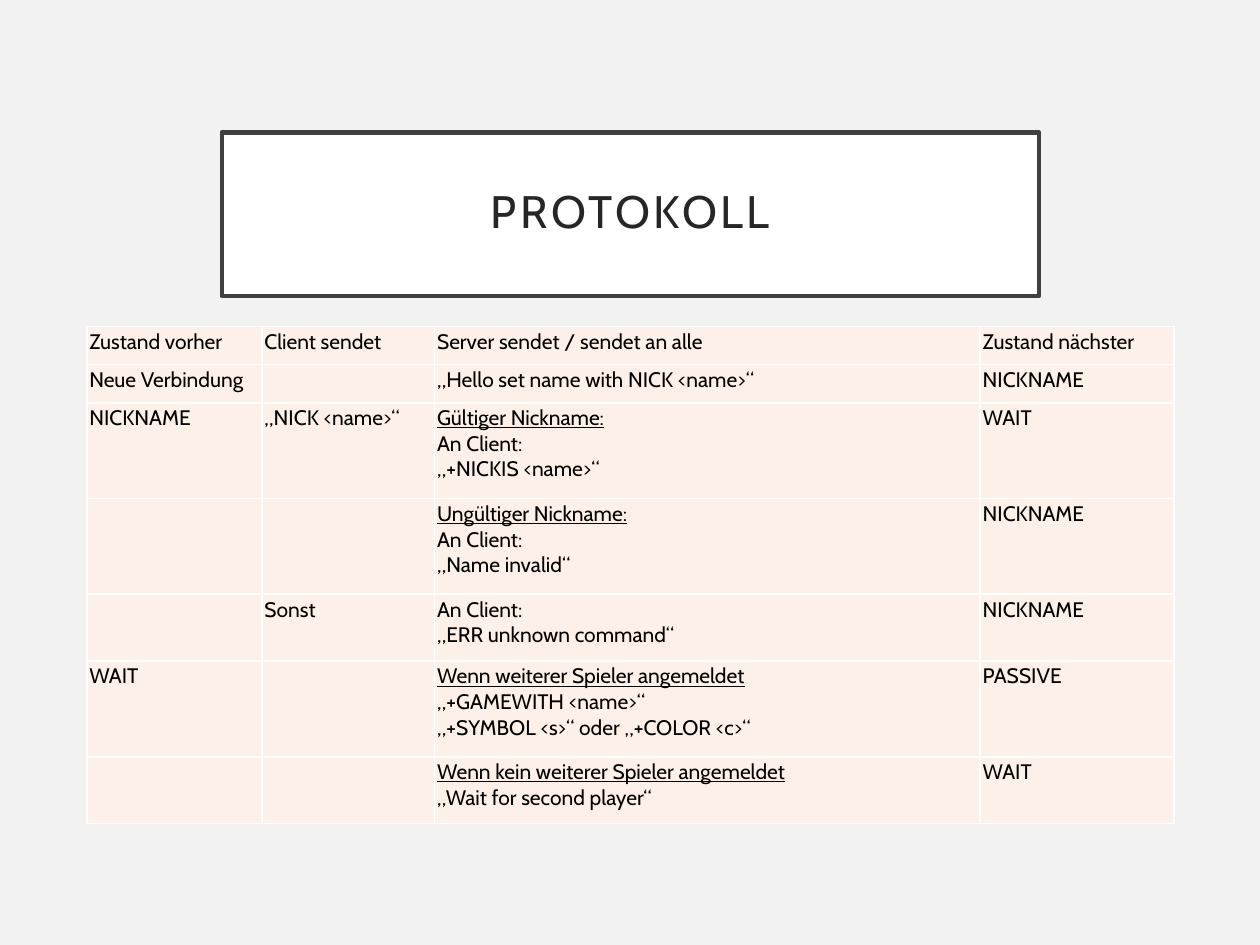
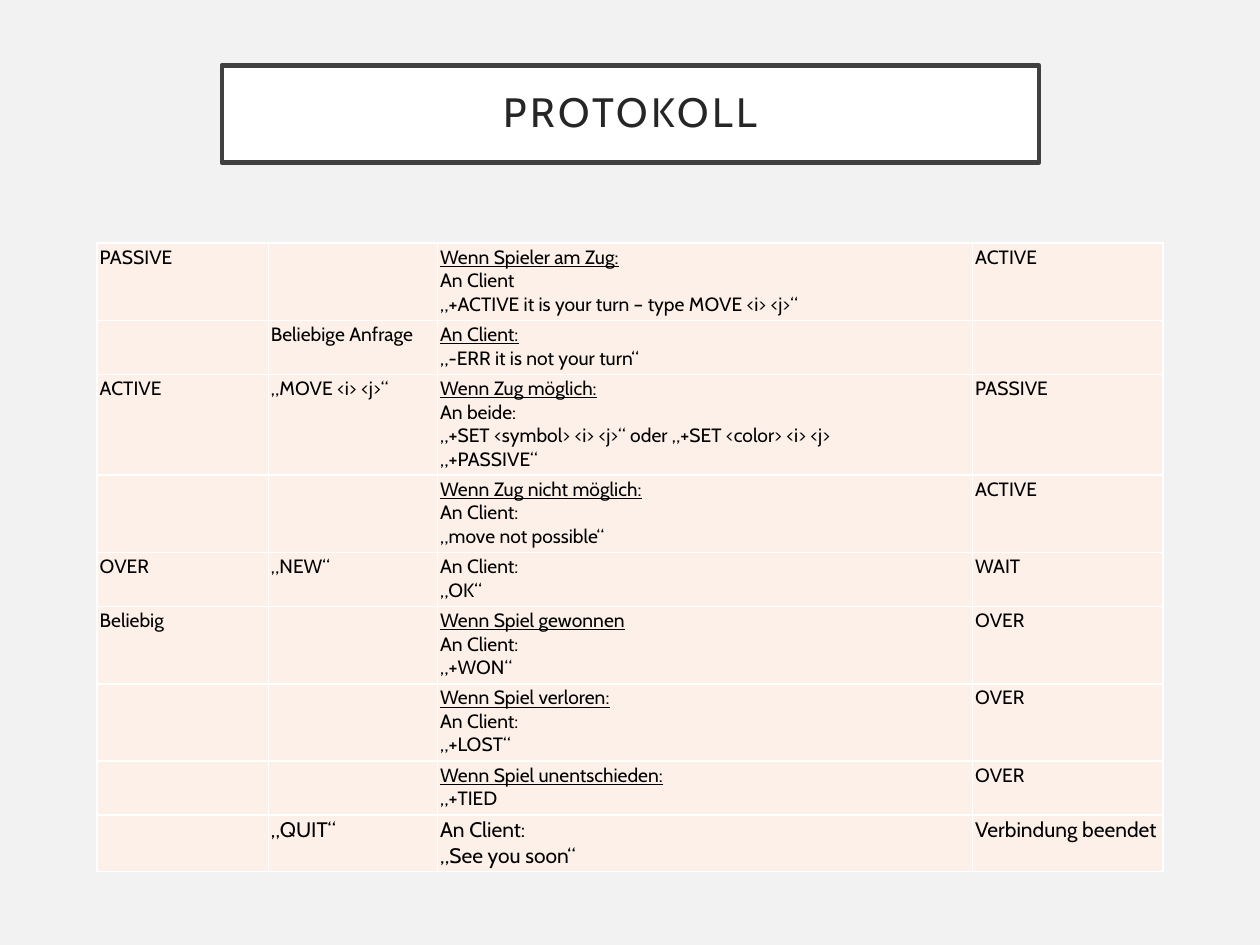
import pptx
import pptx.dml.color
import pptx.enum.shapes
import pptx.enum.text
import pptx.oxml.ns
import pptx.util
from lxml import etree

Cm, Pt, qn = pptx.util.Cm, pptx.util.Pt, pptx.oxml.ns.qn

FONT = "Cabin"
BACKGROUND, WHITE, FRAME = "F2F2F2", "FFFFFF", "404040"
TITLE_INK, CELL_INK, CELL_FILL = "262626", "000000", "FDF0E8"
TITLE_LEFT, TITLE_WIDTH, TITLE_INSET = Cm(4.47), Cm(16.48), Cm(0.51)
CELL_INSET = Cm(0.05)


def paint(fill, color):
    fill.solid()
    fill.fore_color.rgb = pptx.dml.color.RGBColor.from_string(color)


def write(frame, text, size, color, align=None, line_spacing=None, tracking=None):
    """Write one paragraph per line; a leading underscore underlines the line."""
    for number, line in enumerate(text.split("\n")):
        paragraph = frame.add_paragraph() if number else frame.paragraphs[0]
        paragraph.alignment = align
        paragraph.line_spacing = line_spacing
        if not line:
            # an empty cell must not grow its row with the default size
            etree.SubElement(paragraph._p, qn("a:endParaRPr"), sz=str(size * 100))
            continue
        run = paragraph.add_run()
        run.text = line.removeprefix("_")
        run.font.name = FONT
        run.font.size = Pt(size)
        paint(run.font.fill, color)
        if line.startswith("_"):
            run.font.underline = True
        if tracking:
            run.font._rPr.set("spc", str(tracking * 100))


# Columns: state before, client sends, server sends, next state
login_steps = [
    ("Zustand vorher", "Client sendet", "Server sendet / sendet an alle", "Zustand nächster"),
    ("Neue Verbindung", "", "„Hello set name with NICK <name>“", "NICKNAME"),
    ("NICKNAME", "„NICK <name>“", "_Gültiger Nickname:\nAn Client:\n„+NICKIS <name>“", "WAIT"),
    ("", "", "_Ungültiger Nickname:\nAn Client:\n„Name invalid“", "NICKNAME"),
    ("", "Sonst", "An Client:\n„ERR unknown command“", "NICKNAME"),
    ("WAIT", "",
     "_Wenn weiterer Spieler angemeldet\n„+GAMEWITH <name>“\n„+SYMBOL <s>“ oder „+COLOR <c>“",
     "PASSIVE"),
    ("", "", "_Wenn kein weiterer Spieler angemeldet\n„Wait for second player“", "WAIT"),
]
game_steps = [
    ("PASSIVE", "",
     "_Wenn Spieler am Zug:\nAn Client\n„+ACTIVE it is your turn – type MOVE <i> <j>“", "ACTIVE"),
    ("", "Beliebige Anfrage", "_An Client:\n„-ERR it is not your turn“", ""),
    ("ACTIVE", "„MOVE <i> <j>“",
     "_Wenn Zug möglich:\nAn beide:\n„+SET <symbol> <i> <j>“ oder „+SET <color> <i> <j>\n„+PASSIVE“",
     "PASSIVE"),
    ("", "", "_Wenn Zug nicht möglich:\nAn Client:\n„move not possible“", "ACTIVE"),
    ("OVER", "„NEW“", "An Client:\n„OK“", "WAIT"),
    ("Beliebig", "", "_Wenn Spiel gewonnen\nAn Client:\n„+WON“", "OVER"),
    ("", "", "_Wenn Spiel verloren:\nAn Client:\n„+LOST“", "OVER"),
    ("", "", "_Wenn Spiel unentschieden:\n„+TIED", "OVER"),
    ("", "„QUIT“", "An Client:\n„See you soon“", "Verbindung beendet"),
]

# Row height is row_base plus line_height for each line the server sends.
protocol_parts = [
    dict(steps=login_steps, title_top=2.67, title_height=3.3, title_size=26,
         left=1.75, top=6.58, widths=(3.53, 3.48, 11, 3.91),
         row_base=0.19, line_height=0.58, size=12, last_size=12),
    dict(steps=game_steps, title_top=1.32, title_height=1.96, title_size=23.4,
         left=1.96, top=4.9, widths=(3.45, 3.41, 10.79, 3.84),
         row_base=0.15, line_height=0.47, size=11, last_size=12),
]

presentation = pptx.Presentation()
presentation.slide_width, presentation.slide_height = Cm(25.4), Cm(19.05)
paint(presentation.slide_master.background.fill, BACKGROUND)

for part in protocol_parts:
    slide = presentation.slides.add_slide(presentation.slide_layouts[6])

    title = slide.shapes.add_shape(
        pptx.enum.shapes.MSO_SHAPE.RECTANGLE, TITLE_LEFT, Cm(part["title_top"]),
        TITLE_WIDTH, Cm(part["title_height"]))
    title.shadow.inherit = False
    paint(title.fill, WHITE)
    paint(title.line.fill, FRAME)
    title.line.width = Pt(2.5)
    heading = title.text_frame
    heading.word_wrap = True
    heading.vertical_anchor = pptx.enum.text.MSO_ANCHOR.MIDDLE
    heading.margin_left = heading.margin_right = TITLE_INSET
    heading.margin_top = heading.margin_bottom = TITLE_INSET
    write(heading, "PROTOKOLL", size=part["title_size"], color=TITLE_INK,
          align=pptx.enum.text.PP_ALIGN.CENTER, line_spacing=0.9, tracking=2)

    steps, widths = part["steps"], part["widths"]
    heights = [part["row_base"] + part["line_height"] * len(step[2].split("\n"))
               for step in steps]
    transitions = slide.shapes.add_table(
        len(steps), len(widths), Cm(part["left"]), Cm(part["top"]),
        Cm(sum(widths)), Cm(sum(heights))).table
    transitions.first_row = transitions.horz_banding = False
    for column, width in zip(transitions.columns, widths):
        column.width = Cm(width)

    for row, step, height in zip(transitions.rows, steps, heights):
        row.height = Cm(height)
        size = part["last_size"] if step is steps[-1] else part["size"]
        for cell, text in zip(row.cells, step):
            cell.margin_left = cell.margin_right = CELL_INSET
            cell.margin_top = cell.margin_bottom = CELL_INSET
            for side in ("a:lnL", "a:lnR", "a:lnT", "a:lnB"):
                border = etree.SubElement(cell._tc.get_or_add_tcPr(), qn(side), w=str(Pt(1)))
                border_fill = etree.SubElement(border, qn("a:solidFill"))
                etree.SubElement(border_fill, qn("a:srgbClr"), val=WHITE)
            paint(cell.fill, CELL_FILL)
            write(cell.text_frame, text, size=size, color=CELL_INK)

presentation.save("out.pptx")
